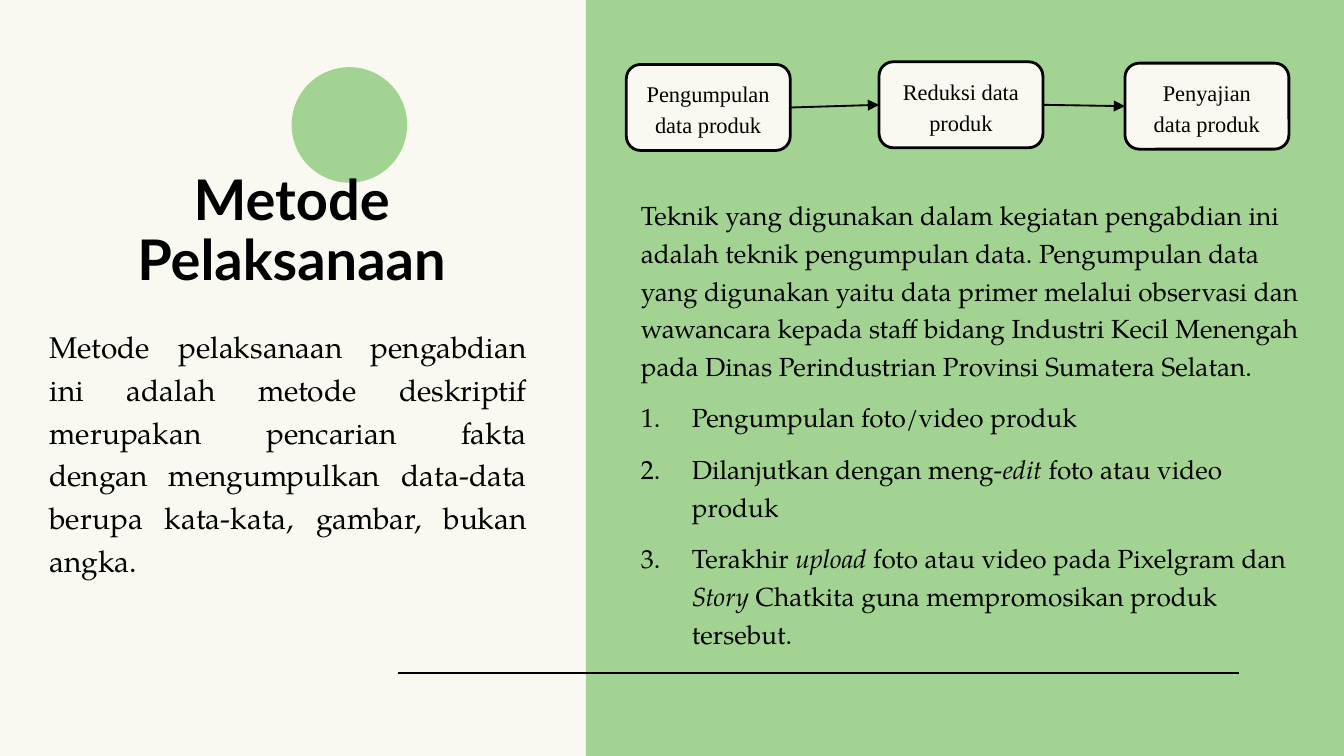
from lxml import etree
from pptx import Presentation
from pptx import util as u
from pptx.dml.color import RGBColor
from pptx.enum import shapes, text
from pptx.oxml.ns import qn

COLS, ROWS = 100, 56.25
CELL = u.Inches(10) / COLS
HUES = {"cream": "F9F9F1", "green": "A3D392", "ink": "000000"}
SERIF = "TeX Gyre Pagella"
MID, LEFT, JUST = text.PP_ALIGN.CENTER, text.PP_ALIGN.LEFT, text.PP_ALIGN.JUSTIFY

STEPS = [
    (46.6, 4.8, "Pengumpulan data produk"),
    (65.4, 4.6, "Reduksi data produk"),
    (83.7, 4.7, "Penyajian data produk"),
]
METHOD = (
    "Metode pelaksanaan pengabdian ini adalah metode deskriptif merupakan pencarian fakta\v"
    "dengan mengumpulkan data-data berupa kata-kata, gambar, bukan angka."
)
INTRO = (
    "Teknik yang digunakan dalam kegiatan pengabdian ini adalah teknik pengumpulan data. "
    "Pengumpulan data yang digunakan yaitu data primer melalui observasi dan wawancara kepada "
    "staff bidang Industri Kecil Menengah pada Dinas Perindustrian Provinsi Sumatera Selatan."
)
TASKS = [
    ["Pengumpulan foto/video produk"],
    ["Dilanjutkan dengan meng-", "edit ", "foto atau video produk"],
    ["Terakhir ", "upload ", "foto atau video pada Pixelgram dan ", "Story ",
     "Chatkita guna mempromosikan produk tersebut."],
]


def grid(*cells):
    """Turn grid cells into lengths."""
    return [u.Emu(round(c * CELL)) for c in cells]


def hue(name):
    """Look up a colour by name."""
    return RGBColor.from_string(HUES[name])


def block(slide, kind, place, fill, edge=None):
    """Add a filled shape, with an outline if a width is given."""
    item = slide.shapes.add_shape(kind, *grid(*place))
    item.shadow.inherit = False
    item.fill.solid()
    item.fill.fore_color.rgb = hue(fill)
    if edge:
        item.line.color.rgb = hue("ink")
        item.line.width = u.Pt(edge)
    else:
        item.line.fill.background()
    return item


def frame(slide, place, anchor):
    """Add a wrapping text box and return its frame."""
    body = slide.shapes.add_textbox(*grid(*place)).text_frame
    body.word_wrap = True
    body.vertical_anchor = anchor
    return body


def write(para, parts, size, font=SERIF, align=LEFT, lead=1.2, gap=7.5, bold=False):
    """Fill a paragraph with runs, every second one italic."""
    para.alignment = align
    para.line_spacing = lead
    para.space_before = u.Pt(gap)
    for n, part in enumerate(parts):
        for k, words in enumerate(part.split("\v")):
            if k:
                para.add_line_break()
            run = para.add_run()
            run.text = words
            run.font.name = font
            run.font.size = u.Pt(size)
            run.font.bold = bold
            run.font.italic = n % 2 == 1
            run.font.color.rgb = hue("ink")


def number(para):
    """Give a paragraph an automatic number and a hanging indent."""
    props = para._p.get_or_add_pPr()
    dent = grid(3.8)[0]
    props.set("marL", str(dent))
    props.set("indent", str(-dent))
    etree.SubElement(props, qn("a:buFont")).set("typeface", "+mj-lt")
    etree.SubElement(props, qn("a:buAutoNum")).set("type", "arabicPeriod")


def rule(slide, ends, tip=False):
    """Add a thin line, with an arrowhead if asked."""
    line = slide.shapes.add_connector(shapes.MSO_CONNECTOR.STRAIGHT, *grid(*ends))
    line.line.color.rgb = hue("ink")
    line.line.width = u.Pt(1)
    if tip:
        etree.SubElement(line.line._get_or_add_ln(), qn("a:tailEnd")).set("type", "triangle")
    etree.SubElement(line._element.spPr, qn("a:effectLst"))
    return line


def step(slide, left, top, label):
    """Add one box of the flow."""
    item = block(slide, shapes.MSO_SHAPE.ROUNDED_RECTANGLE, (left, top, 12.2, 6.4), "cream", 1.5)
    body = item.text_frame
    body.word_wrap = True
    body.vertical_anchor = text.MSO_ANCHOR.MIDDLE
    write(body.paragraphs[0], [label], 12, "Times New Roman", MID, 1.15, 0)
    return item


def flow(slide):
    """Add the boxes and join each to the next."""
    boxes = [step(slide, *s) for s in STEPS]
    for a, b in zip(boxes, boxes[1:]):
        link = rule(slide, (0, 0, 1, 1), True)
        link.begin_connect(a, 3)
        link.end_connect(b, 1)


def main():
    """Build the slide and save it."""
    deck = Presentation()
    deck.slide_width, deck.slide_height = grid(COLS, ROWS)
    slide = deck.slides.add_slide(deck.slide_layouts[6])
    slide.background.fill.solid()
    slide.background.fill.fore_color.rgb = hue("cream")

    block(slide, shapes.MSO_SHAPE.RECTANGLE, (43.6, 0, COLS - 43.6, ROWS), "green")
    rule(slide, (29.6, 50.1, 92.2, 50.1))
    block(slide, shapes.MSO_SHAPE.OVAL, (21.7, 5, 8.6, 8.6), "green")

    title = frame(slide, (4.6, 11.2, 34.2, 12.2), text.MSO_ANCHOR.MIDDLE)
    write(title.paragraphs[0], ["Metode Pelaksanaan"], 30, "Lato", MID, 0.9, 0, True)
    flow(slide)

    method = frame(slide, (2.7, 23.4, 37.5, 15.2), text.MSO_ANCHOR.TOP)
    write(method.paragraphs[0], [METHOD], 16, align=JUST)

    detail = frame(slide, (46.7, 14.1, 51.7, 34.5), text.MSO_ANCHOR.MIDDLE)
    write(detail.paragraphs[0], [INTRO], 14)
    for parts in TASKS:
        para = detail.add_paragraph()
        write(para, parts, 14)
        number(para)
    deck.save("out.pptx")


if __name__ == "__main__":
    main()
